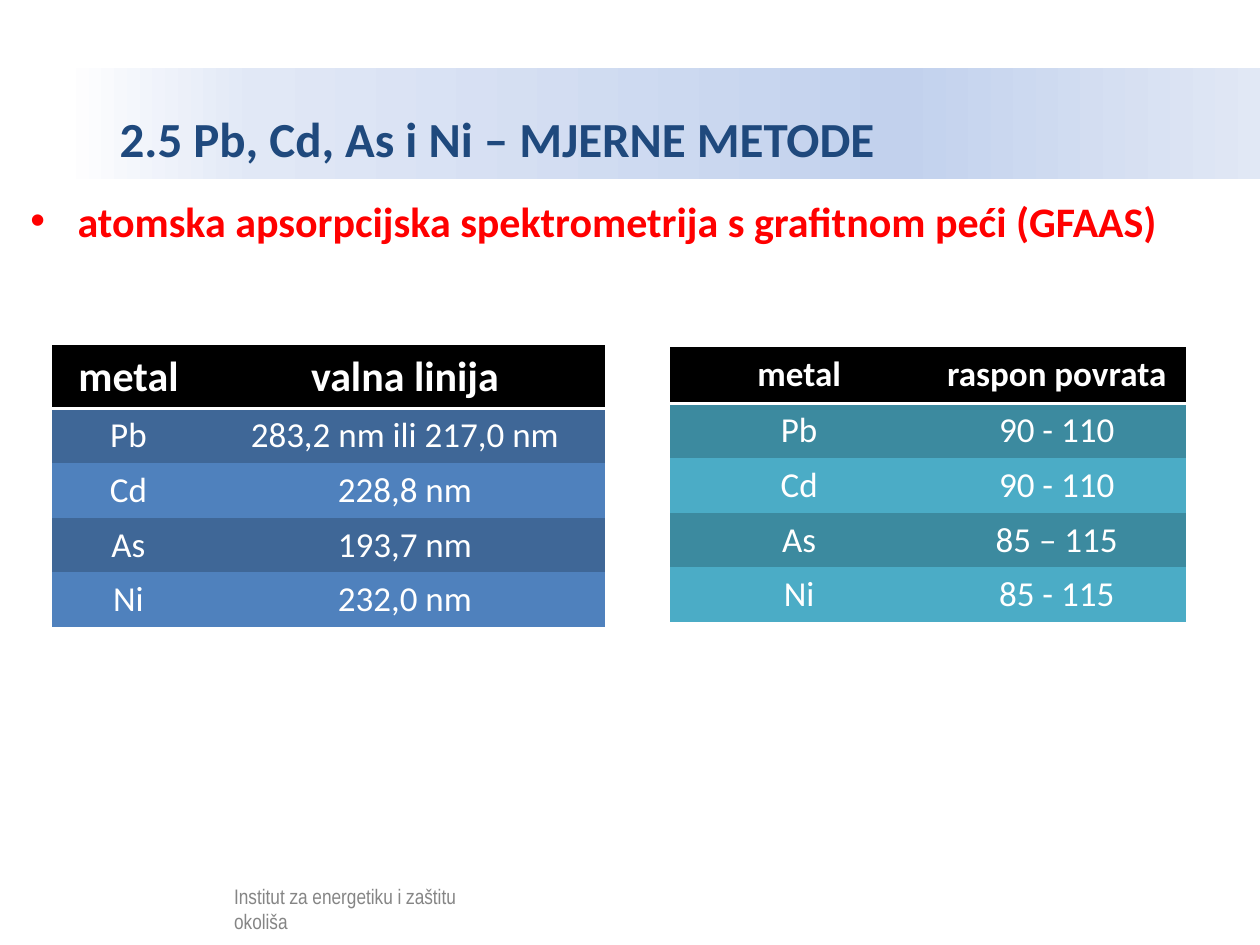
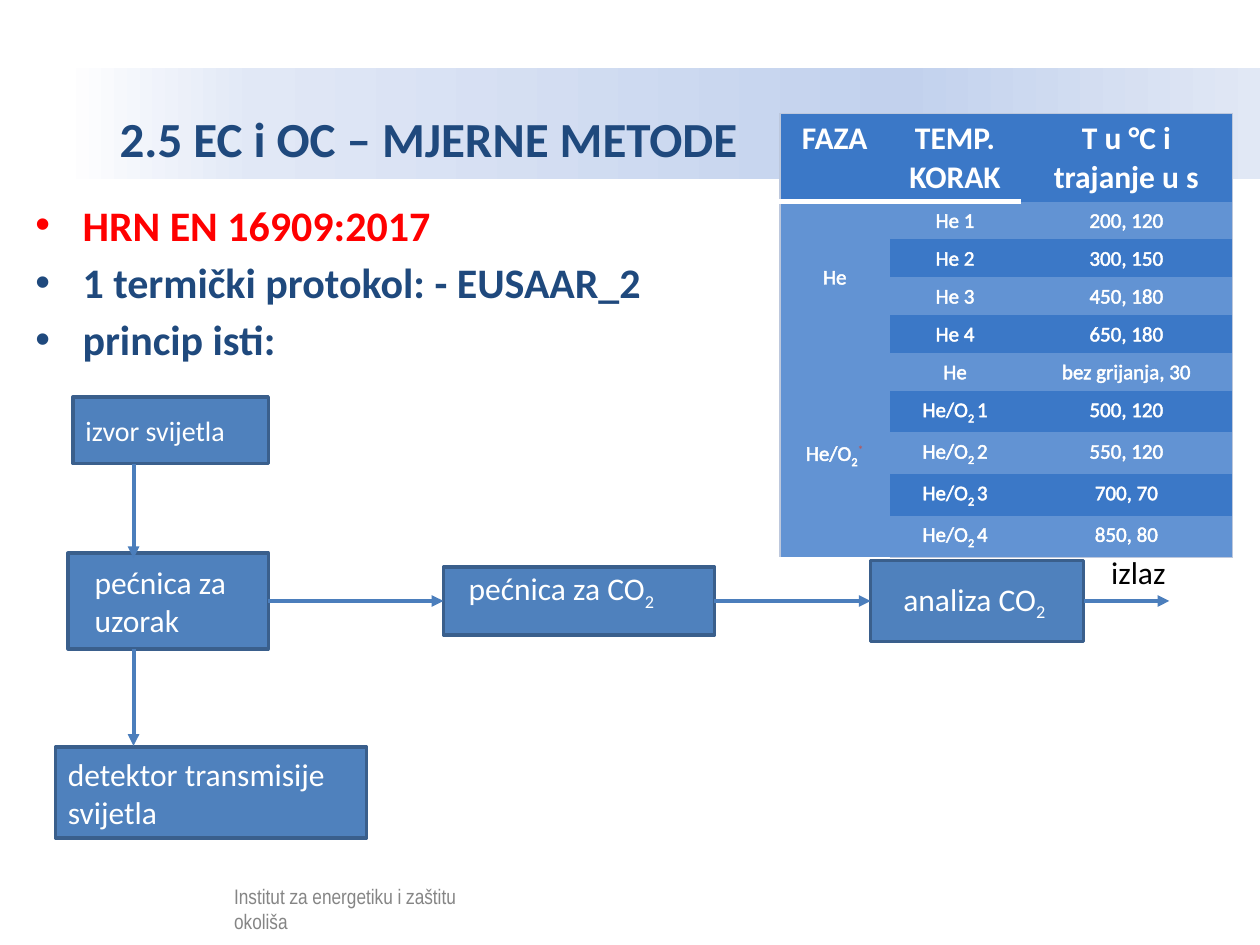
"""Builds two slides on measuring metals and carbon in particulate matter."""
from dataclasses import dataclass
from typing import NamedTuple

from lxml.etree import SubElement
from pptx import Presentation
from pptx.dml.color import RGBColor as Rgb
from pptx.enum.shapes import MSO_CONNECTOR as Connector, MSO_SHAPE as Preset
from pptx.enum.text import MSO_ANCHOR as Anchor, MSO_AUTO_SIZE as AutoSize, PP_ALIGN as Align
from pptx.oxml.ns import qn
from pptx.util import Inches, Pt


@dataclass(frozen=True)
class Theme:
    font: str = "Calibri"
    footer_font: str = "Arial Narrow"
    navy: str = "1F497D"
    red: str = "FF0000"
    star: str = "C0504D"
    white: str = "FFFFFF"
    black: str = "000000"
    blue: str = "4F81BD"
    blue_dark: str = "3F6797"
    teal: str = "4BACC6"
    teal_dark: str = "3C8A9F"
    phase: str = "3B78C7"
    phase_light: str = "6293D3"
    edge: str = "BDC8DD"
    box_line: str = "3A5F8C"
    arrow: str = "4B7EBC"
    banner: tuple = ((0, "FFFFFF"), (16, "E1E8F6"), (70, "C2D1ED"), (100, "E1E8F5"))
    title_size: int = 28
    list_size: int = 24
    large: int = 20
    label: int = 18
    small: int = 16
    tiny: int = 12


THEME = Theme()
WIDTH, HEIGHT = Inches(10), Inches(7.5)
COLUMNS, ROWS = 100, 75
NO_GRID_STYLE = "{2D5ABB26-0587-4C30-8999-92F81FD0307C}"


def across(columns: float) -> int:
    return round(WIDTH * columns / COLUMNS)


def down(rows: float) -> int:
    return round(HEIGHT * rows / ROWS)


class Area(NamedTuple):
    column: float
    row: float
    columns: float
    rows: float

    def frame(self) -> tuple:
        return across(self.column), down(self.row), across(self.columns), down(self.rows)


class Span(NamedTuple):
    text: str
    baseline: int = 0
    color: str = THEME.white


class Border(NamedTuple):
    color: str
    points: float


@dataclass(frozen=True)
class FlowBox:
    area: Area
    spans: tuple
    inset: float = 1
    size: int = THEME.label
    anchor: Anchor = Anchor.MIDDLE
    top: float = 0.5


@dataclass(frozen=True)
class DataTable:
    area: Area
    widths: tuple
    heights: tuple
    rows: tuple
    head_fill: str
    bands: tuple
    head_size: int
    body_size: int
    rule: Border
    ruled_columns: int = 2
    edge: Border | None = None
    outlined: bool = False
    merges: tuple = ()


def add_span(para, span: Span, size: float, bold: bool = False,
             font: str = THEME.font, outlined: bool = False) -> None:
    run = para.add_run()
    run.text = span.text
    run.font.name, run.font.size, run.font.bold = font, Pt(size), bold
    run.font.color.rgb = Rgb.from_string(span.color)
    properties = run._r.get_or_add_rPr()
    if span.baseline:
        properties.set("baseline", str(span.baseline * 1000))
    if outlined:
        properties.insert(0, add_line(properties, "a:ln", Border(span.color, 0.75)))


def add_line(parent, tag: str, border: Border):
    line = SubElement(parent, qn(tag), w=str(Pt(border.points)))
    SubElement(SubElement(line, qn("a:solidFill")), qn("a:srgbClr"), val=border.color)
    return line


def place(shape, area: Area) -> None:
    shape.left, shape.top, shape.width, shape.height = area.frame()


def add_text(slide, area: Area, span: Span, size: float, font: str = THEME.font) -> None:
    box = slide.shapes.add_textbox(*area.frame())
    box.text_frame.word_wrap = True
    add_span(box.text_frame.paragraphs[0], span, size, font=font)


def fill_banner(title) -> None:
    title.fill.gradient()
    title.fill.gradient_angle = 0
    stops = title._element.spPr.find(".//" + qn("a:gsLst"))
    stops.clear()
    for position, color in THEME.banner:
        stop = SubElement(stops, qn("a:gs"), pos=str(position * 1000))
        SubElement(stop, qn("a:srgbClr"), val=color)


def add_footer(slide) -> None:
    add_text(slide, Area(17.6, 69.6, 20.9, 4.5),
             Span("Institut za energetiku i zaštitu okoliša", color=THEME.black),
             THEME.tiny, THEME.footer_font)
    veil = slide.shapes.add_shape(Preset.RECTANGLE, *Area(4.1, 69.3, 38.2, 4.8).frame())
    veil.shadow.inherit = False
    veil.line.fill.background()
    veil.fill.solid()
    veil.fill.fore_color.rgb = Rgb.from_string(THEME.white)
    color = veil._element.spPr.find(".//" + qn("a:srgbClr"))
    SubElement(color, qn("a:alpha"), val="52000")


def add_page(deck, heading: str, body_area: Area, points: tuple):
    slide = deck.slides.add_slide(deck.slide_layouts[1])
    title, body = slide.shapes.title, slide.placeholders[1]
    place(title, Area(5, 5.4, 95, 8.8))
    fill_banner(title)
    frame = title.text_frame
    frame.auto_size, frame.vertical_anchor = AutoSize.NONE, Anchor.MIDDLE
    frame.margin_left = across(4.5)
    para = frame.paragraphs[0]
    para.alignment, para.line_spacing = Align.LEFT, 1.5
    add_span(para, Span(heading, color=THEME.navy), THEME.title_size, bold=True)
    place(body, body_area)
    body.text_frame.auto_size = AutoSize.NONE
    for index, point in enumerate(points):
        para = body.text_frame.add_paragraph() if index else body.text_frame.paragraphs[0]
        para.space_before = Pt(4 if index else 0)
        add_span(para, point, THEME.list_size, bold=True)
    add_footer(slide)
    return slide


def cell_borders(design: DataTable, row: int, column: int) -> dict:
    last_row, last_column = len(design.heights) - 1, len(design.widths) - 1
    sides = {}
    if design.edge:
        outer = {"L": column == 0, "R": column == last_column,
                 "T": row == 0, "B": row == last_row}
        sides = {side: design.edge for side, on_edge in outer.items() if on_edge}
    if row == 0 and column < design.ruled_columns:
        sides["B"] = design.rule
    return sides


def add_table(slide, design: DataTable) -> None:
    shape = slide.shapes.add_table(len(design.heights), len(design.widths), *design.area.frame())
    table = shape.table
    table.first_row = table.horz_banding = False
    table._tbl.tblPr.find(qn("a:tableStyleId")).text = NO_GRID_STYLE
    for column, width in zip(table.columns, design.widths):
        column.width = across(width)
    for row, height in zip(table.rows, design.heights):
        row.height = down(height)
    for row, contents in enumerate(design.rows):
        is_head = row == 0
        for column, content in enumerate(contents):
            cell = table.cell(row, column)
            for side, border in cell_borders(design, row, column).items():
                add_line(cell._tc.get_or_add_tcPr(), f"a:ln{side}", border)
            cell.fill.solid()
            color = design.head_fill if is_head else design.bands[(row - 1) % 2]
            cell.fill.fore_color.rgb = Rgb.from_string(color)
            para = cell.text_frame.paragraphs[0]
            para.alignment = Align.CENTER
            for span in (Span(content),) if isinstance(content, str) else content:
                add_span(para, span, design.head_size if is_head else design.body_size,
                         bold=is_head, outlined=design.outlined and not is_head)
    for first, last in design.merges:
        table.cell(first, 0).merge(table.cell(last, 0))
        table.cell(first, 0).vertical_anchor = Anchor.MIDDLE


def add_flow_box(slide, design: FlowBox):
    box = slide.shapes.add_shape(Preset.RECTANGLE, *design.area.frame())
    box.shadow.inherit = False
    box.fill.solid()
    box.fill.fore_color.rgb = Rgb.from_string(THEME.blue)
    box.line.color.rgb, box.line.width = Rgb.from_string(THEME.box_line), Pt(2)
    frame = box.text_frame
    frame.word_wrap, frame.vertical_anchor = True, design.anchor
    frame.margin_left, frame.margin_top = across(design.inset), down(design.top)
    para = frame.paragraphs[0]
    para.alignment = Align.LEFT
    for span in design.spans:
        add_span(para, span, design.size)
    return box


def add_arrow(slide, start: tuple = (0, 0), end: tuple = (0, 0), source=None, target=None) -> None:
    arrow = slide.shapes.add_connector(Connector.STRAIGHT, across(start[0]), down(start[1]),
                                       across(end[0]), down(end[1]))
    if source is not None:
        arrow.begin_connect(source, 3)
    if target is not None:
        arrow.end_connect(target, 1)
    arrow.line.color.rgb, arrow.line.width = Rgb.from_string(THEME.arrow), Pt(2.25)
    properties = arrow._element.spPr
    SubElement(properties.find(qn("a:ln")), qn("a:tailEnd"), type="triangle")
    SubElement(properties, qn("a:effectLst"))


def build_metals(deck) -> None:
    slide = add_page(deck, "2.5 Pb, Cd, As i Ni – MJERNE METODE", Area(1.4, 15, 97.5, 57), (
        Span("atomska apsorpcijska spektrometrija s grafitnom peći (GFAAS)", color=THEME.red),))
    rule = Border(THEME.white, 2)
    lines = (("metal", "valna linija"), ("Pb", "283,2 nm ili 217,0 nm"),
             ("Cd", "228,8 nm"), ("As", "193,7 nm"), ("Ni", "232,0 nm"))
    recoveries = (("metal", "raspon povrata"), ("Pb", "90 - 110"),
                  ("Cd", "90 - 110"), ("As", "85 – 115"), ("Ni", "85 - 115"))
    add_table(slide, DataTable(Area(4.1, 27.4, 43.9, 22.3), (12.2, 31.7), (4.95,) + (4.34,) * 4,
                               lines, THEME.black, (THEME.blue_dark, THEME.blue),
                               THEME.list_size, THEME.large, rule))
    add_table(slide, DataTable(Area(53.2, 27.5, 40.9, 21.8), (20.45,) * 2, (4.5,) + (4.34,) * 4,
                               recoveries, THEME.black, (THEME.teal_dark, THEME.teal),
                               THEME.large, THEME.large, rule))


def build_carbon(deck) -> None:
    slide = add_page(deck, "2.5 EC i OC – MJERNE METODE", Area(1.8, 15.3, 94.6, 49.5), (
        Span("HRN EN 16909:2017", color=THEME.red),
        Span("1 termički protokol: - EUSAAR_2", color=THEME.navy),
        Span("princip isti:", color=THEME.navy)))
    sub = Span("2", -25)
    add_flow_box(slide, FlowBox(Area(5.8, 31.5, 15.5, 5.3), (Span("izvor svijetla"),),
                                size=THEME.small))
    sample = add_flow_box(slide, FlowBox(Area(5.4, 43.9, 15.9, 7.6),
                                         (Span("pećnica za uzorak"),), inset=2.1))
    add_flow_box(slide, FlowBox(Area(4.4, 59.3, 24.7, 7.2),
                                (Span("detektor transmisije svijetla"),)))
    oven = add_flow_box(slide, FlowBox(Area(35.2, 45, 21.5, 5.4), (Span("pećnica za CO"), sub),
                                       inset=2, anchor=Anchor.TOP, top=0.2))
    analysis = add_flow_box(slide, FlowBox(Area(69.1, 44.5, 16.9, 6.4),
                                           (Span("analiza CO"), sub), inset=2.6))
    add_arrow(slide, source=sample, target=oven)
    add_arrow(slide, source=oven, target=analysis)
    add_arrow(slide, end=(92.8, 47.7), source=analysis)
    for top, bottom in ((36.8, 44.3), (51.5, 59.2)):
        add_arrow(slide, (10.6, top), (10.6, bottom))
    add_text(slide, Area(87.2, 43.4, 12.8, 4), Span("izlaz", color=THEME.black), THEME.label)

    helium = ("200, 120", "300, 150", "450, 180", "650, 180")
    oxygen = ("500, 120", "550, 120", "700, 70", "850, 80")
    mixture = (Span("He/O"), sub, Span("*", 30, THEME.star))
    rows = [("FAZA", "TEMP. KORAK", "T u °C i trajanje u s")]
    rows += [("" if step > 1 else "He", f"He {step}", value)
             for step, value in enumerate(helium, 1)]
    rows += [(mixture, "He", "bez grijanja, 30")]
    rows += [((), (Span("He/O"), Span("2 ", -25), Span(str(step))), value)
             for step, value in enumerate(oxygen, 1)]
    add_table(slide, DataTable(Area(61.9, 9, 35.9, 35.2), (8.7, 10.4, 16.8),
                               (7,) + (3,) * 5 + (3.3,) * 4, tuple(rows), THEME.phase,
                               (THEME.phase_light, THEME.phase), THEME.label, THEME.tiny,
                               Border(THEME.white, 3), edge=Border(THEME.edge, 0.75),
                               outlined=True, merges=((1, 4), (5, 9))))


def main() -> None:
    deck = Presentation()
    deck.slide_width, deck.slide_height = WIDTH, HEIGHT
    build_metals(deck)
    build_carbon(deck)
    deck.save("out.pptx")


if __name__ == "__main__":
    main()
